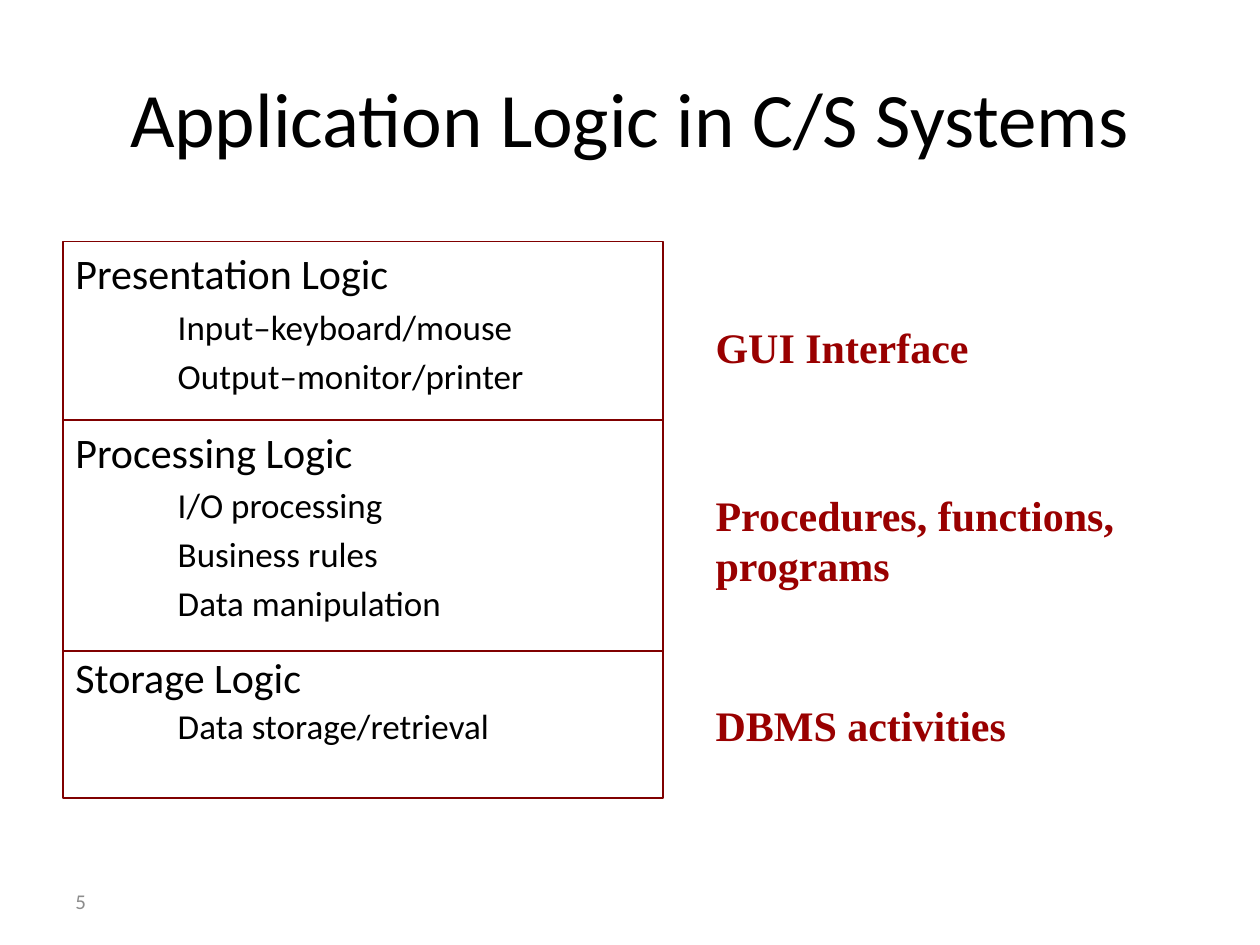
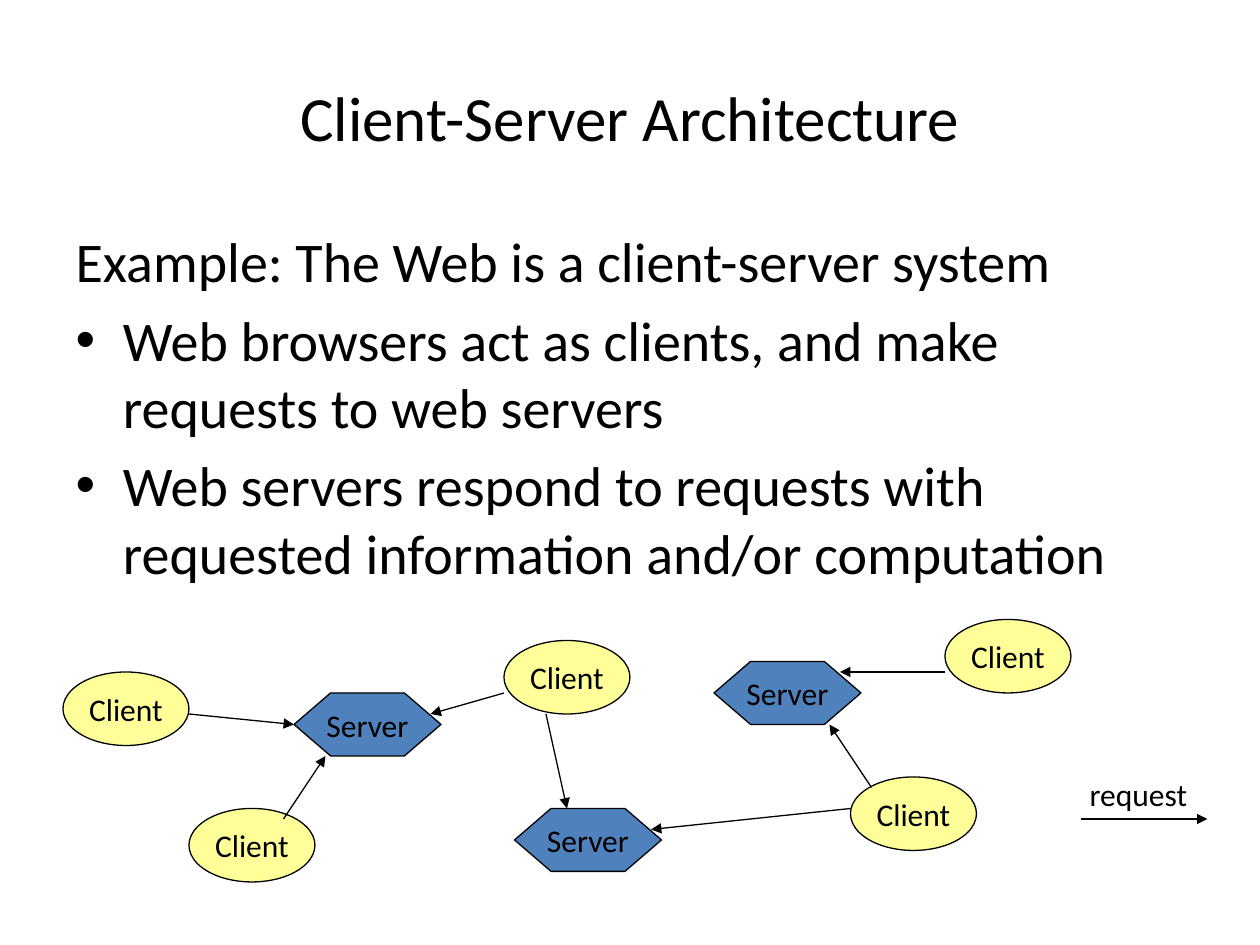
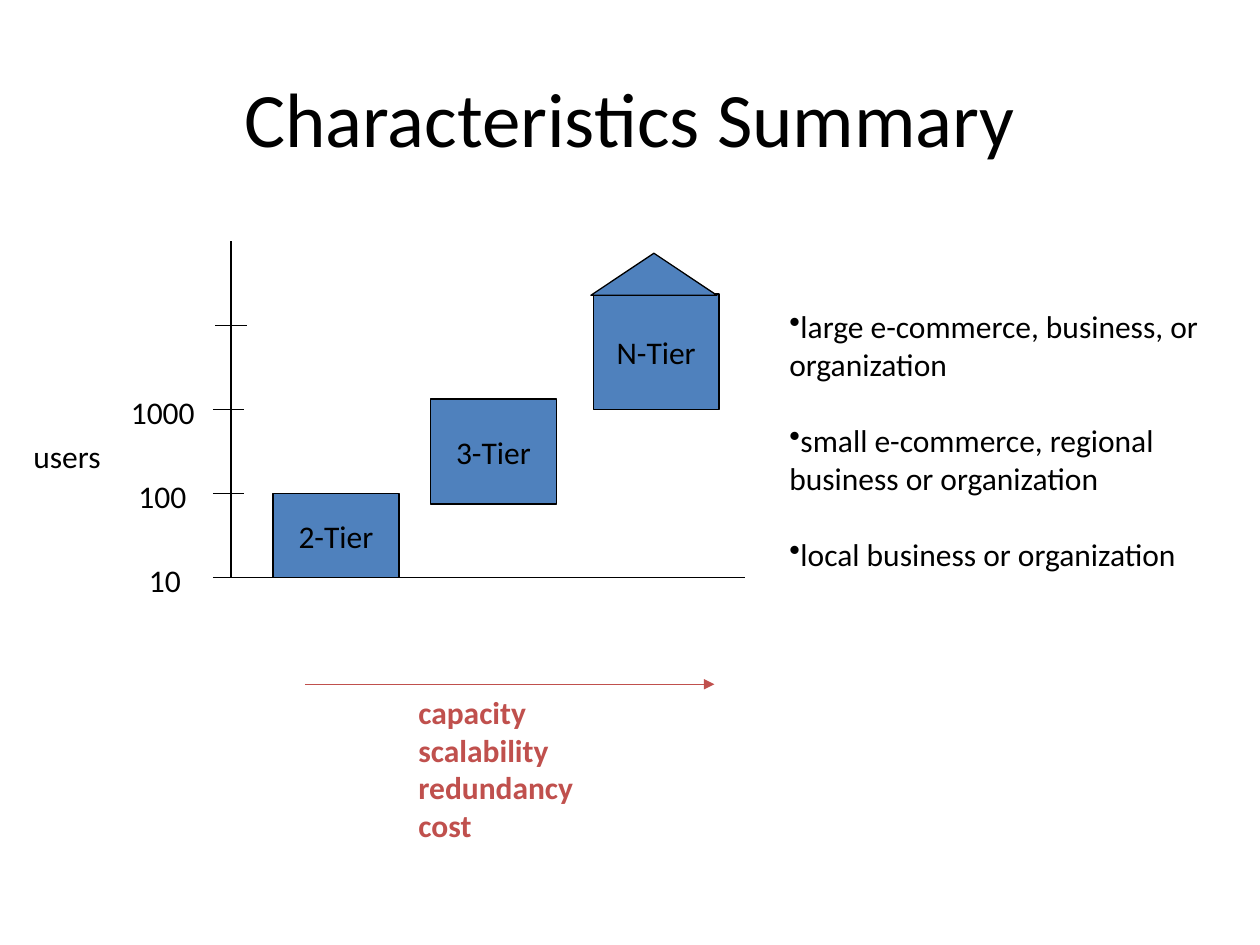
import dataclasses

import lxml.etree
import pptx
import pptx.dml.color
import pptx.enum.shapes
import pptx.enum.text
import pptx.oxml.ns
import pptx.util

Pt = pptx.util.Pt
Kind = pptx.enum.shapes.MSO_SHAPE
Align = pptx.enum.text.PP_ALIGN
Anchor = pptx.enum.text.MSO_ANCHOR
Fit = pptx.enum.text.MSO_AUTO_SIZE


@dataclasses.dataclass(frozen=True)
class Theme:
    """Colours, fonts and type sizes of the deck."""
    ink: str = "000000"
    grey: str = "8C8C8C"
    maroon: str = "800000"
    crimson: str = "990000"
    coral: str = "C0504D"
    blue: str = "4F81BD"
    yellow: str = "FFFF99"
    sans: str = "Calibri"
    serif: str = "Times New Roman"
    title: int = 44
    small_title: int = 36
    body: int = 32
    heading: int = 24
    item: int = 20
    label: int = 18
    footer: int = 12
    line: float = 0.75


THEME = Theme()


def rgb(code):
    """Return the colour for a hex code."""
    return pptx.dml.color.RGBColor.from_string(code)


def apply(target, **values):
    """Set each named attribute on the target."""
    for name, value in values.items():
        setattr(target, name, value)


def add_bullet(para, sign):
    """Give the paragraph a bullet sign, or none if sign is empty."""
    props = para._p.get_or_add_pPr()
    tag = "a:buChar" if sign else "a:buNone"
    bullet = lxml.etree.SubElement(props, pptx.oxml.ns.qn(tag))
    if sign:
        bullet.set("char", sign)


def write(para, text, size=THEME.label, color=THEME.ink, font=THEME.sans, bold=False, **layout):
    """Write one formatted span into the paragraph."""
    apply(para, **layout)
    span = para.add_run()
    span.text = text
    apply(span.font, size=Pt(size), name=font, bold=bold)
    span.font.color.rgb = rgb(color)


def paragraphs(frame, texts):
    """Yield a paragraph with its text for each of the texts."""
    for index, text in enumerate(texts):
        yield (frame.add_paragraph() if index else frame.paragraphs[0]), text


def add_page(deck, layout, title, size=THEME.title):
    """Add a page with a centred title."""
    page = deck.slides.add_slide(deck.slide_layouts[layout])
    apply(page.shapes.title, left=Pt(36), top=Pt(21.6), width=Pt(648), height=Pt(90))
    write(page.shapes.title.text_frame.paragraphs[0], title, size, alignment=Align.CENTER)
    return page


def add_label(page, place, texts, **style):
    """Add an unwrapped text box with one paragraph for each text."""
    frame = page.shapes.add_textbox(*map(Pt, place)).text_frame
    apply(frame, word_wrap=False, auto_size=Fit.SHAPE_TO_FIT_TEXT)
    for para, text in paragraphs(frame, texts):
        write(para, text, **style)
    return frame


def add_box(page, kind, place, fill=None, line=THEME.ink, text=None):
    """Add an outlined preset shape with an optional centred text."""
    box = page.shapes.add_shape(kind, *map(Pt, place))
    box.shadow.inherit = False
    if fill:
        box.fill.solid()
        box.fill.fore_color.rgb = rgb(fill)
    else:
        box.fill.background()
    box.line.color.rgb = rgb(line)
    box.line.width = Pt(THEME.line)
    if text:
        apply(box.text_frame, word_wrap=False, vertical_anchor=Anchor.MIDDLE)
        write(box.text_frame.paragraphs[0], text, alignment=Align.CENTER)
    return box


def add_line(page, ends, color=THEME.ink, arrow=False):
    """Add a straight line, with an arrowhead at its end if wanted."""
    line = page.shapes.add_connector(pptx.enum.shapes.MSO_CONNECTOR.STRAIGHT, *map(Pt, ends))
    line.line.color.rgb = rgb(color)
    line.line.width = Pt(THEME.line)
    if arrow:
        head = lxml.etree.SubElement(line.line._get_or_add_ln(), pptx.oxml.ns.qn("a:tailEnd"))
        head.set("type", "triangle")
    lxml.etree.SubElement(line._element.spPr, pptx.oxml.ns.qn("a:effectLst"))


def add_layer(page, top, height, heading, items, spacing=1.0):
    """Add a framed logic layer with a heading and indented items."""
    box = add_box(page, Kind.RECTANGLE, (36, top, 343, height), line=THEME.maroon)
    frame = box.text_frame
    apply(frame, word_wrap=True, vertical_anchor=Anchor.TOP)
    layout = {"alignment": Align.LEFT, "line_spacing": spacing}
    write(frame.paragraphs[0], heading, THEME.heading, **layout)
    for item in items:
        para = frame.add_paragraph()
        para._p.get_or_add_pPr().set("marL", str(Pt(58.5)))
        write(para, item, THEME.item, space_before=Pt(4), **layout)


def build_logic(deck):
    """Build the page on application logic."""
    page = add_page(deck, 5, "Application Logic in C/S Systems")
    number = add_label(page, (36, 500.4, 168, 28.8), ["5"], size=THEME.footer, color=THEME.grey)
    apply(number, auto_size=Fit.NONE, word_wrap=True, vertical_anchor=Anchor.MIDDLE)
    roles = [
        (180, 159, 36, ["GUI Interface"]),
        (276, 243, 65, ["Procedures, functions,", "programs"]),
        (396, 181, 36, ["DBMS activities"]),
    ]
    for top, width, height, texts in roles:
        add_label(page, (401.8, top, width, height), texts, size=THEME.heading,
                  color=THEME.crimson, font=THEME.serif, bold=True)
    layers = [
        (102, "Presentation Logic", ["Input–keyboard/mouse", "Output–monitor/printer"], 1.0),
        (132, "Processing Logic", ["I/O processing", "Business rules", "Data manipulation"], 1.0),
        (84, "Storage Logic", ["Data storage/retrieval"], 0.9),
    ]
    top = 138
    for height, heading, items, spacing in layers:
        add_layer(page, top, height, heading, items, spacing)
        top += height


def build_architecture(deck):
    """Build the page on clients and servers."""
    page = add_page(deck, 1, "Client-Server Architecture", THEME.small_title)
    body = page.placeholders[1]
    apply(body, left=Pt(36), top=Pt(126), width=Pt(648), height=Pt(414))
    texts = [
        "Example: The Web is a client-server system",
        "Web browsers act as clients, and make requests to web servers",
        "Web servers respond to requests with requested information and/or computation",
    ]
    for index, (para, text) in enumerate(paragraphs(body.text_frame, texts)):
        add_bullet(para, "•" if index else "")
        write(para, text, THEME.body, space_before=Pt(6.4 if index else 0))
    for left, top in [(168, 396), (294, 462), (408, 378)]:
        server = add_box(page, Kind.HEXAGON, (left, top, 84, 36), THEME.blue, text="Server")
        server.adjustments[0] = 0.58
    for left, top in [(36, 384), (108, 462), (288, 366), (540, 354), (486, 444)]:
        add_box(page, Kind.OVAL, (left, top, 72, 42), THEME.yellow, text="Client")
    requests = [
        (108, 408, 168, 414), (162, 468, 186, 432), (312, 408, 324, 462), (288, 396, 246, 408),
        (540, 384, 480, 384), (498, 450, 474, 414), (486, 462, 372, 474), (618, 468, 690, 468),
    ]
    for ends in requests:
        add_line(page, ends, arrow=True)
    add_label(page, (615.6, 439.2, 74.2, 28.8), ["request"])


def build_summary(deck):
    """Build the page that compares the tiers."""
    page = add_page(deck, 5, "Characteristics Summary")
    base, step = 330, 48
    add_line(page, (132, 138, 132, base))
    add_line(page, (132, base, 426, base))
    for index, left in enumerate([121.7, 121.7, 121.7, 123.1]):
        level = base - index * step
        add_line(page, (left, level, left + 18, level))
    tiers = [("2-Tier", 156, 282, 48), ("3-Tier", 246, 228, 60), ("N-Tier", 339, 168, 66)]
    for name, left, top, height in tiers:
        add_box(page, Kind.RECTANGLE, (left, top, 72, height), THEME.blue, text=name)
    add_box(page, Kind.ISOSCELES_TRIANGLE, (337.7, 144.7, 72, 24), THEME.blue)
    scale = [("10", 78, 34.6), ("100", 72, 44.6), ("1000", 67.7, 54.7)]
    for index, (users, left, width) in enumerate(scale):
        add_label(page, (left, base - index * step - 12.75, width, 28.8), [users])
    add_label(page, (12, 246.2, 58.3, 28.8), ["users"])

    frame = page.shapes.add_textbox(Pt(444), Pt(172), Pt(258), Pt(158)).text_frame
    frame.word_wrap = True
    texts = [
        "large e-commerce, business, or organization",
        "small e-commerce, regional business or organization",
        "local business or organization",
    ]
    for index, (para, text) in enumerate(paragraphs(frame, texts)):
        add_bullet(para, "•")
        write(para, text, space_before=Pt(22 if index else 0))

    add_line(page, (174.2, 391, 408.2, 391), THEME.coral, arrow=True)
    add_label(page, (232, 392.4, 116.6, 93.6), ["capacity", "scalability", "redundancy", "cost"],
              color=THEME.coral, bold=True)


def main():
    """Build and save the deck."""
    deck = pptx.Presentation()
    apply(deck, slide_width=Pt(720), slide_height=Pt(540))
    build_logic(deck)
    build_architecture(deck)
    build_summary(deck)
    deck.save("out.pptx")


if __name__ == "__main__":
    main()
